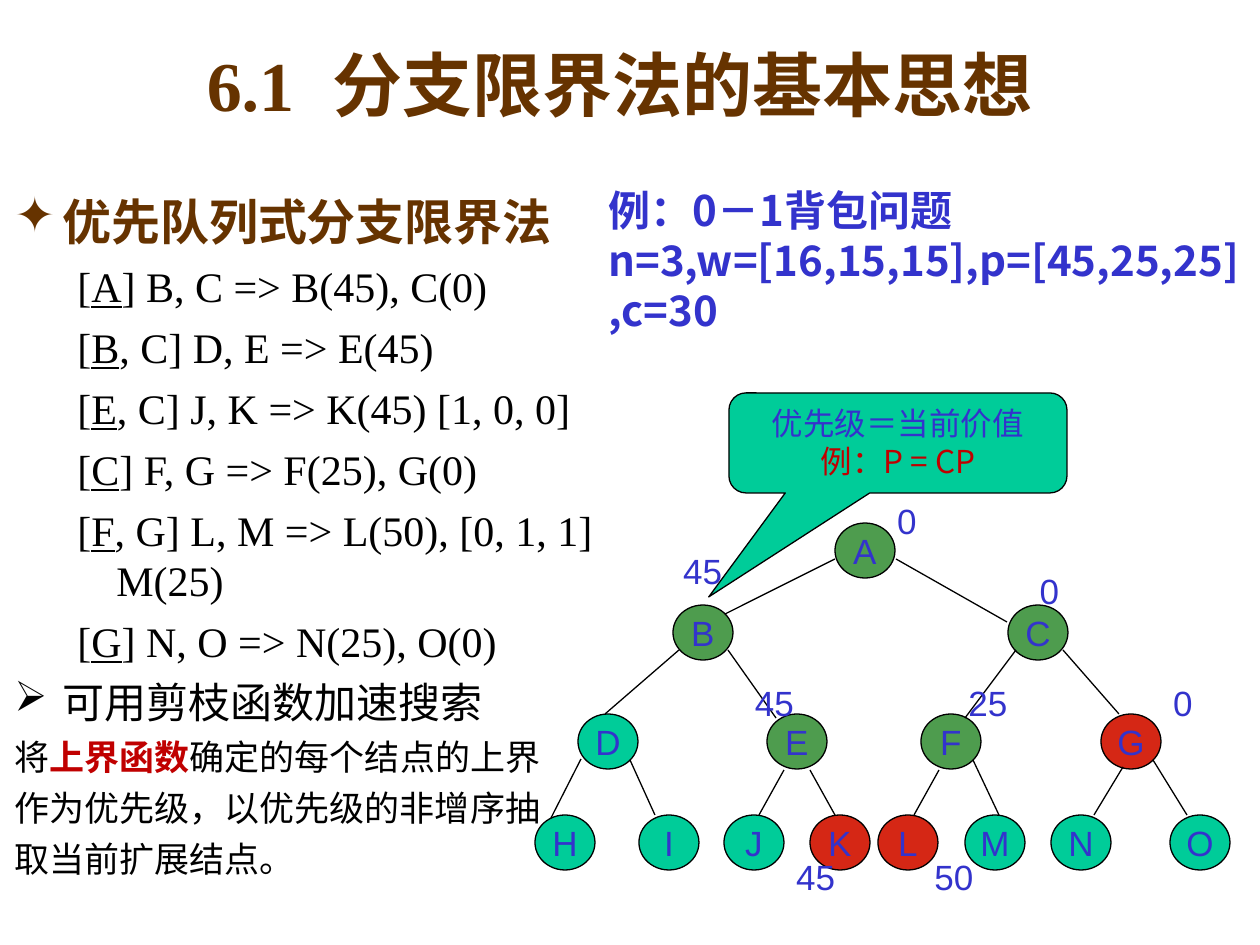
from lxml.etree import SubElement
from pptx import Presentation
from pptx.dml.color import RGBColor
from pptx.enum.shapes import MSO_CONNECTOR as Connector, MSO_SHAPE as Shape
from pptx.enum.text import MSO_ANCHOR as Anchor, MSO_AUTO_SIZE as AutoSize, PP_ALIGN as Align
from pptx.oxml.ns import qn
from pptx.util import Emu, Pt

SCALE = 914400 / 126
CJK, SERIF, SANS = "Noto Sans CJK SC", "Times New Roman", "Arial"
BROWN, BLUE, BLACK, CRIMSON = "663300", "3333CC", "000000", "C00000"
GREEN, TEAL, RED = "4E9C4E", "00CC99", "D52715"

NODES = {
    "A": (300, 30, GREEN), "B": (138, 112, GREEN), "C": (473, 112, GREEN),
    "D": (43, 221, TEAL), "E": (232, 221, GREEN), "F": (386, 221, GREEN),
    "G": (566, 221, RED), "H": (0, 322, TEAL), "I": (104, 322, TEAL),
    "J": (189, 322, TEAL), "K": (275, 322, RED), "L": (343, 322, RED),
    "M": (430, 322, TEAL), "N": (516, 322, TEAL), "O": (635, 322, TEAL),
}
EDGES = [
    (300, 66, 190, 121), (361, 66, 472, 129), (144, 157, 70, 221), (193, 157, 241, 225),
    (481, 157, 430, 225), (528, 157, 584, 221), (46, 266, 16, 325), (95, 267, 120, 322),
    (249, 277, 224, 322), (275, 277, 300, 322), (404, 277, 379, 322), (438, 267, 464, 322),
    (588, 274, 559, 322), (618, 267, 652, 322),
]
VALUES = [
    ("0", 343, 0, 58), ("45", 134, 50, 67), ("0", 486, 70, 57), ("45", 201, 182, 77),
    ("25", 410, 182, 86), ("0", 600, 182, 96), ("45", 247, 356, 67), ("50", 343, 356, 152),
]
STEPS = [
    ("A", "] B, C => B(45), C(0)"),
    ("B", ", C] D, E => E(45)"),
    ("E", ", C] J, K => K(45) [1, 0, 0]"),
    ("C", "] F, G => F(25), G(0)"),
    ("F", ", G] L, M => L(50), [0, 1, 1] M(25)"),
    ("G", "] N, O => N(25), O(0)"),
]


def px(length):
    """Turn a length in px into EMU."""
    return Emu(round(length * SCALE))


def color(hex_value):
    """Turn a hex string into a colour."""
    return RGBColor.from_string(hex_value)


def write(paragraph, text, size=24, font=SERIF, ink=BLACK, bold=False, underline=False):
    """Append a formatted run to a paragraph."""
    run = paragraph.add_run()
    run.text = text
    run.font.size = Pt(size)
    run.font.name = font
    run.font.color.rgb = color(ink)
    run.font.bold = bold
    run.font.underline = underline
    SubElement(run.font._element, qn("a:ea"), typeface=CJK)


def indent(paragraph, margin, hanging, before, bullet=None, ink=BLACK):
    """Set the hanging indent, space before and bullet of a paragraph."""
    paragraph.space_before = Pt(before)
    properties = paragraph._p.get_or_add_pPr()
    properties.set("marL", str(px(margin)))
    properties.set("indent", str(px(-hanging)))
    if bullet:
        SubElement(SubElement(properties, qn("a:buClr")), qn("a:srgbClr"), val=ink)
        SubElement(properties, qn("a:buChar"), char=bullet)


def add_frame(shapes, left, top, width, height):
    """Add a wrapping text box and return its text frame."""
    frame = shapes.add_textbox(px(left), px(top), px(width), px(height)).text_frame
    frame.word_wrap = True
    return frame


def add_outlined(shapes, kind, left, top, width, height, fill):
    """Add a filled preset shape with a thin black outline."""
    shape = shapes.add_shape(kind, px(left), px(top), px(width), px(height))
    shape.shadow.inherit = False
    shape.fill.solid()
    shape.fill.fore_color.rgb = color(fill)
    shape.line.color.rgb = color(BLACK)
    shape.line.width = Pt(0.75)
    return shape


def add_title(slide, left, top, width, height):
    """Place and format the title placeholder."""
    title = slide.shapes.title
    title.left, title.top, title.width, title.height = map(px, (left, top, width, height))
    frame = title.text_frame
    frame.auto_size = AutoSize.NONE
    frame.vertical_anchor = Anchor.TOP
    heading = frame.paragraphs[0]
    heading.alignment = Align.CENTER
    write(heading, "6.1\t分支限界法的基本思想", size=40, ink=BROWN, bold=True)


def add_method(slide, left, top, width, height):
    """Add the queue method, its steps and the pruning remark."""
    frame = add_frame(slide.shapes, left, top, width, height)
    method = frame.paragraphs[0]
    indent(method, 48, 48, 7, "✦", BROWN)
    write(method, "优先队列式分支限界法", size=28, ink=BROWN, bold=True)
    for node, outcome in STEPS:
        step = frame.add_paragraph()
        step.level = 1
        indent(step, 102, 39, 6)
        write(step, "[")
        write(step, node, underline=True)
        write(step, outcome)
    pruning = frame.add_paragraph()
    indent(pruning, 48, 48, 6, "➢")
    write(pruning, "可用剪枝函数加速搜索")
    for remark in (["将", "上界函数", "确定的每个结点的上界"],
                   ["作为优先级，以优先级的非增序抽"], ["取当前扩展结点。"]):
        line = frame.add_paragraph()
        indent(line, 48, 48, 5)
        for part in remark:
            key = part == "上界函数"
            write(line, part, size=20, font=CJK, ink=CRIMSON if key else BLACK, bold=key)


def add_problem(slide, left, top, width, height):
    """Add the knapsack example."""
    problem = add_frame(slide.shapes, left, top, width, height).paragraphs[0]
    write(problem, "例：0－1背包问题n=3,w=[16,15,15],p=[45,25,25],c=30",
          font=CJK, ink=BLUE, bold=True)


def add_tree(slide, left, top):
    """Add the search tree as one group of nodes, edges and values."""
    shapes = slide.shapes.add_group_shape().shapes
    for name, (x, y, fill) in NODES.items():
        node = add_outlined(shapes, Shape.OVAL, left + x, top + y, 60, 55, fill)
        node.text_frame.word_wrap = False
        node.text_frame.vertical_anchor = Anchor.MIDDLE
        label = node.text_frame.paragraphs[0]
        label.alignment = Align.CENTER
        write(label, name, size=20, font=SANS, ink=BLUE)
    for x1, y1, x2, y2 in EDGES:
        edge = shapes.add_connector(Connector.STRAIGHT, px(left + x1), px(top + y1),
                                    px(left + x2), px(top + y2))
        edge.line.color.rgb = color(BLACK)
        edge.line.width = Pt(0.75)
        SubElement(edge._element.spPr, qn("a:effectLst"))
    for value, x, y, width in VALUES:
        label = add_frame(shapes, left + x, top + y, width, 55).paragraphs[0]
        label.alignment = Align.CENTER
        write(label, value, size=20, font=SANS, ink=BLUE)


def add_priority(slide, left, top, width, height):
    """Add the callout that explains the priority."""
    callout = add_outlined(slide.shapes, Shape.ROUNDED_RECTANGULAR_CALLOUT,
                           left, top, width, height, TEAL)
    for index, value in enumerate((-0.56, 1.54, 0.17)):
        callout.adjustments[index] = value
    frame = callout.text_frame
    frame.word_wrap = True
    frame.vertical_anchor = Anchor.TOP
    rule, example = frame.paragraphs[0], frame.add_paragraph()
    rule.alignment = example.alignment = Align.CENTER
    write(rule, "优先级＝当前价值", size=18, font=SANS, ink=BLUE)
    write(example, "例：P = CP", size=18, font=CJK, ink=CRIMSON)


def main():
    """Build and save the slide."""
    deck = Presentation()
    deck.slide_width, deck.slide_height = px(1260), px(945)
    slide = deck.slides.add_slide(deck.slide_layouts[5])
    add_tree(slide, 535, 493)
    add_priority(slide, 729, 393, 338, 100)
    add_method(slide, 2, 185, 628, 700)
    add_title(slide, 84, 35, 1071, 158)
    add_problem(slide, 596, 178, 664, 164)
    deck.save("out.pptx")


if __name__ == "__main__":
    main()
